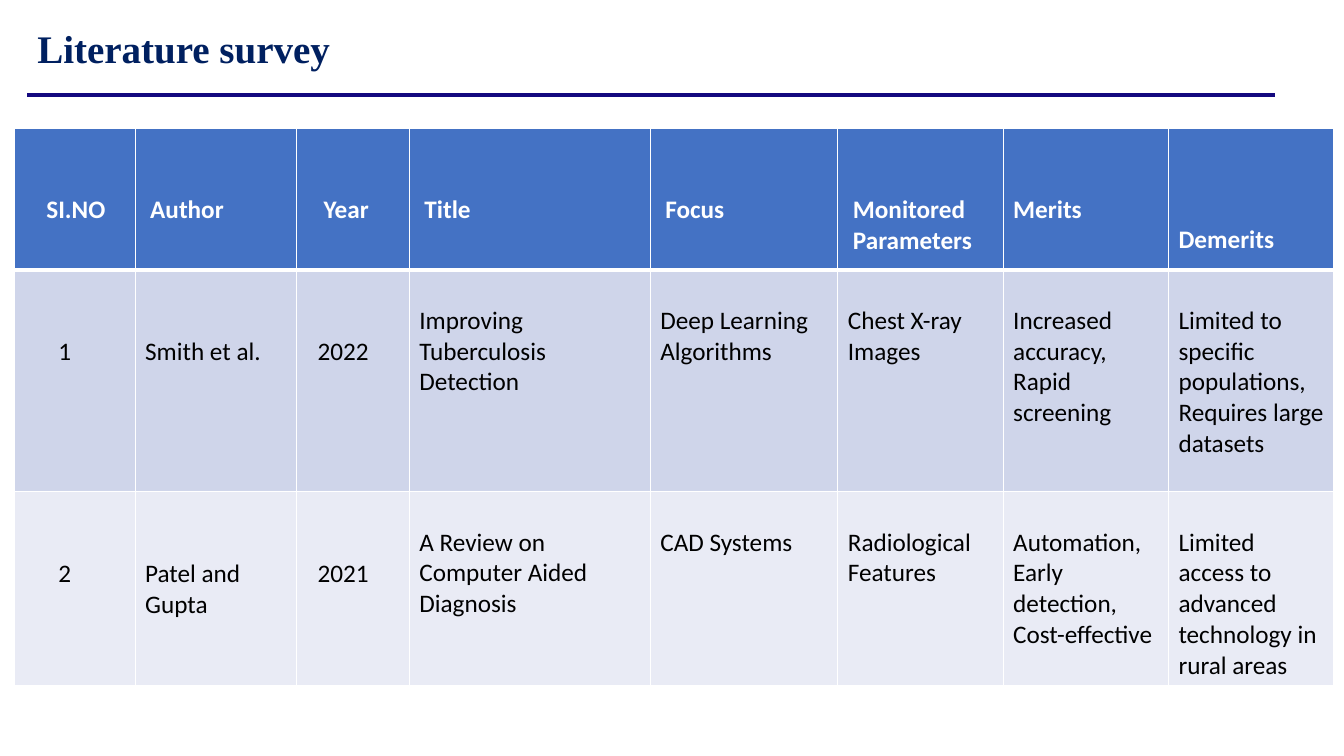
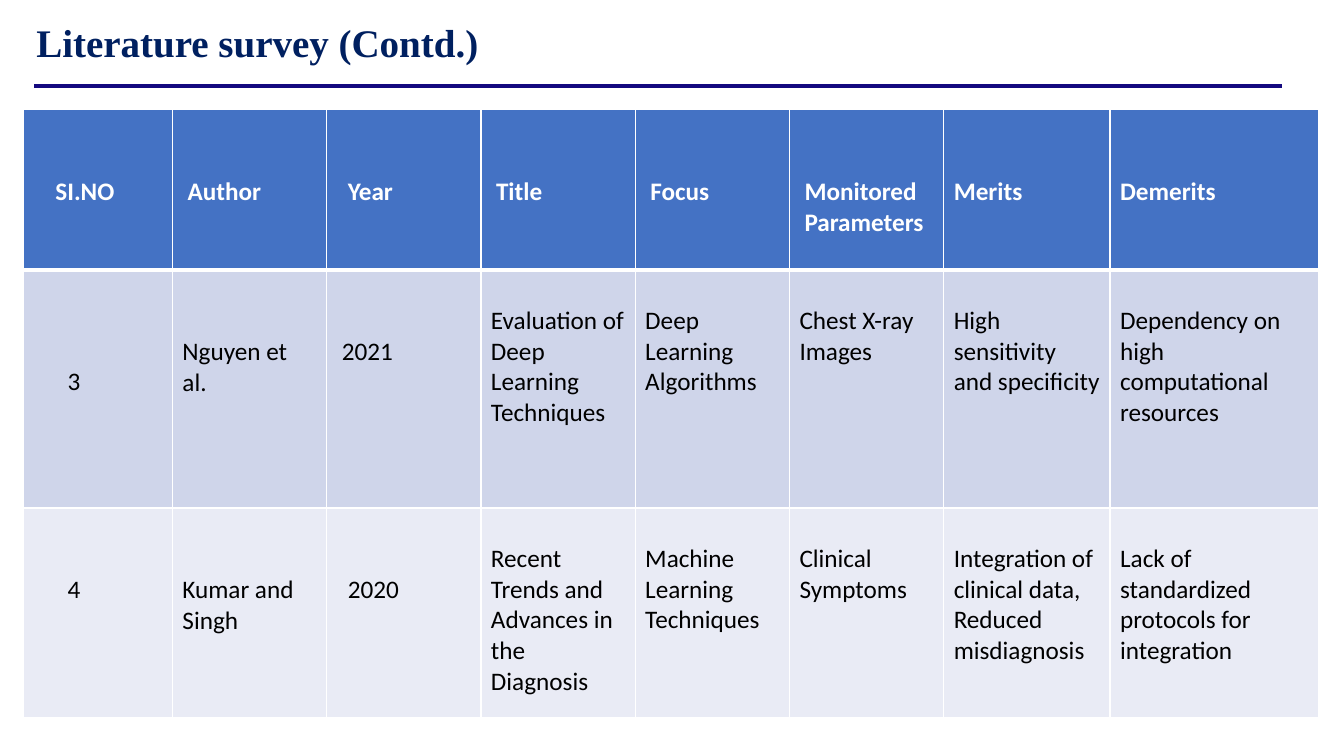
from lxml import etree
from pptx import Presentation, util as u
from pptx.dml.color import RGBColor
from pptx.enum import shapes, text
from pptx.oxml import ns

PX = 9144  # EMU in one px, 100 px to the inch
HUES = {"navy": "002060", "rule": "14097F", "head": "4472C4", "odd": "CFD5EA",
        "even": "E9EBF5", "white": "FFFFFF", "black": "000000"}
HEADS = ["SI.NO", "Author", "Year", "Title", "Focus",
         "Monitored\nParameters", "Merits", "Demerits"]
# Default drop in lines and indent in spaces, by column
HEAD_SET = [(2, n) for n in (4, 1, 3, 1, 1, 1, 0, 0)]
BODY_SET = [(2, 6), (2, 0), (2, 2)] + [(1, 0)] * 5


def px(n):
    return u.Emu(n * PX)


def hue(name):
    return RGBColor.from_string(HUES[name])


class Deck:
    """Shared style and the current slide."""

    def __init__(self):
        self.prs = Presentation()
        self.prs.slide_width, self.prs.slide_height = px(1333), px(750)
        self.slide = None

    def page(self):
        self.slide = self.prs.slides.add_slide(self.prs.slide_layouts[5])

    def run(self, para, words, size, font, color, bold):
        run = para.add_run()
        run.text = words
        run.font.size, run.font.name, run.font.bold = u.Pt(size), font, bold
        run.font.color.rgb = hue(color)

    def title(self, words, x, y, w):
        box = self.slide.shapes.title
        box.left, box.top, box.width, box.height = map(px, (x, y, w, 60))
        frame = box.text_frame
        frame.word_wrap = True
        frame.auto_size = text.MSO_AUTO_SIZE.NONE
        frame.vertical_anchor = text.MSO_ANCHOR.MIDDLE
        para = frame.paragraphs[0]
        para.alignment = text.PP_ALIGN.LEFT
        para.line_spacing = 0.9
        self.run(para, words, 27.9, "Times New Roman", "navy", True)

    def rule(self, x, y, w):
        line = self.slide.shapes.add_connector(
            shapes.MSO_CONNECTOR.STRAIGHT, px(x), px(y), px(x + w), px(y))
        line.line.color.rgb = hue("rule")
        line.line.width = u.Pt(3)
        etree.SubElement(line._element.spPr, ns.qn("a:effectLst"))

    def edge(self, cell, row):
        """White borders, thick below the header row."""
        props = cell._tc.get_or_add_tcPr()
        wide = {"T": 3 if row == 1 else 1, "B": 3 if row == 0 else 1}
        for spot, side in enumerate("LRTB"):
            line = etree.Element(ns.qn("a:ln" + side),
                                 w=str(u.Pt(wide.get(side, 1))))
            fill = etree.SubElement(line, ns.qn("a:solidFill"))
            etree.SubElement(fill, ns.qn("a:srgbClr"), val=HUES["white"])
            props.insert(spot, line)

    def cell(self, cell, row, item, base):
        words, drop, gap = item if isinstance(item, tuple) else (item, *base)
        head = row == 0
        cell.fill.solid()
        cell.fill.fore_color.rgb = hue(
            "head" if head else "odd" if row % 2 else "even")
        # One line is 30.5 px high, one space 5.7 px wide
        cell.margin_top = px(5 + drop * 61 // 2)
        cell.margin_left = px(10 + gap * 57 // 10)
        frame = cell.text_frame
        for n, part in enumerate(words.split("\n")):
            para = frame.add_paragraph() if n else frame.paragraphs[0]
            self.run(para, part, 18, "Calibri",
                     "white" if head else "black", head)
        self.edge(cell, row)

    def table(self, x, y, cols, highs, rows):
        grid = self.slide.shapes.add_table(
            len(rows), len(cols), px(x), px(y),
            px(sum(cols)), px(sum(highs))).table
        for col, w in zip(grid.columns, cols):
            col.width = px(w)
        for r, (high, items) in enumerate(zip(highs, rows)):
            grid.rows[r].height = px(high)
            bases = BODY_SET if r else HEAD_SET
            for c, (item, base) in enumerate(zip(items, bases)):
                self.cell(grid.cell(r, c), r, item, base)


def main():
    deck = Deck()

    # Literature survey
    deck.page()
    deck.title("Literature survey", 27, 20, 1150)
    deck.table(14, 127, [120, 160, 112, 239, 186, 164, 164, 164],
               [141, 220, 190], [
        HEADS[:7] + [("Demerits", 3, 0)],
        ["1", "Smith et al.", "2022", "Improving Tuberculosis Detection",
         "Deep Learning Algorithms", "Chest X-ray Images",
         "Increased accuracy, Rapid screening",
         "Limited to specific populations, Requires large datasets"],
        ["2", "Patel and Gupta", "2021",
         "A Review on Computer Aided Diagnosis", "CAD Systems",
         "Radiological Features",
         "Automation, Early detection, Cost-effective",
         "Limited access to advanced technology in rural areas"]])
    deck.rule(27, 94, 1238)

    # Literature survey, continued
    deck.page()
    deck.title("Literature survey (Contd.)", 26, 15, 1216)
    deck.table(23, 109, [148] + [153] * 5 + [165, 207], [159, 236, 208], [
        HEADS[:2] + [("Year", 2, 2)] + HEADS[3:],
        [("3", 3, 6), "Nguyen et al.", ("2021", 2, 1),
         "Evaluation of Deep Learning Techniques",
         "Deep Learning Algorithms", "Chest X-ray Images",
         "High sensitivity and specificity",
         "Dependency on high computational resources"],
        ["4", "Kumar and Singh", "2020",
         "Recent Trends and Advances in the Diagnosis",
         "Machine Learning Techniques", "Clinical Symptoms",
         "Integration of clinical data, Reduced misdiagnosis",
         "Lack of standardized protocols for integration"]])
    deck.rule(34, 85, 1238)

    deck.prs.save("out.pptx")


if __name__ == "__main__":
    main()
